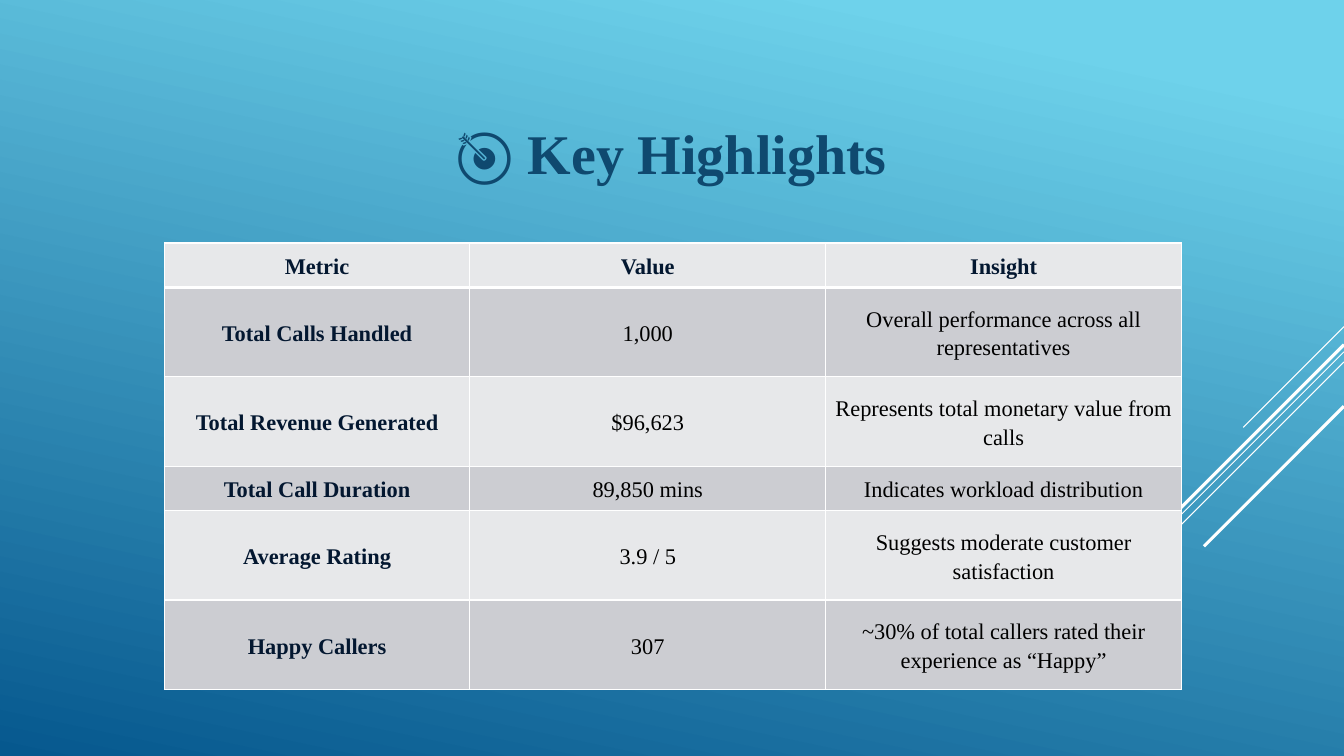
from dataclasses import dataclass

import pptx
import pptx.dml.color
import pptx.enum.shapes
import pptx.enum.text
import pptx.oxml
import pptx.oxml.ns
import pptx.slide
import pptx.table
import pptx.text.text
import pptx.util

Pt = pptx.util.Pt
WIDTH, HEIGHT = 960, 540


@dataclass(frozen=True)
class Theme:
    font: str = "Times New Roman"
    sky: str = "6ED2EB"
    deep: str = "06588E"
    title: str = "0F496F"
    label: str = "031730"
    body: str = "000000"
    line: str = "FFFFFF"
    light: str = "E7E8EA"
    dark: str = "CCCDD2"
    title_size: float = 40
    cell_size: float = 16


@dataclass(frozen=True)
class Ray:
    y: float
    reach: float
    weight: float


@dataclass(frozen=True)
class Metric:
    name: str
    value: str
    insight: str
    height: float = 63.8


THEME = Theme()
RAYS = [
    Ray(233.3, 72, 0.75),
    Ray(251.3, 234.7, 0.75),
    Ray(258.5, 149.2, 0.75),
    Ray(246.2, 137.5, 2.25),
    Ray(290.2, 100, 2.25),
]
METRICS = [
    Metric("Metric", "Value", "Insight", 31.9),
    Metric("Total Calls Handled", "1,000", "Overall performance across all representatives"),
    Metric("Total Revenue Generated", "$96,623", "Represents total monetary value from calls"),
    Metric("Total Call Duration", "89,850 mins", "Indicates workload distribution", 31.9),
    Metric("Average Rating", "3.9 / 5", "Suggests moderate customer satisfaction"),
    Metric("Happy Callers", "307", "~30% of total callers rated their experience as “Happy”"),
]
COLUMNS = [218.2, 254.2, 254.2]


def rgb(color: str) -> pptx.dml.color.RGBColor:
    return pptx.dml.color.RGBColor.from_string(color)


def paint_background(s: pptx.slide.Slide) -> None:
    fill = s.background.fill
    fill.gradient()
    fill.gradient_angle = 258
    stops = [(0.1, THEME.sky), (1, THEME.deep)]
    for stop, (position, color) in zip(fill.gradient_stops, stops):
        stop.position = position
        stop.color.rgb = rgb(color)


def draw_ray(s: pptx.slide.Slide, ray: Ray) -> None:
    sp = s.shapes.add_connector(
        pptx.enum.shapes.MSO_CONNECTOR.STRAIGHT,
        Pt(WIDTH), Pt(ray.y), Pt(WIDTH - ray.reach), Pt(ray.y + ray.reach),
    )
    sp.line.color.rgb = rgb(THEME.line)
    sp.line.width = Pt(ray.weight)
    properties = sp._element.spPr
    properties.append(properties.makeelement(pptx.oxml.ns.qn("a:effectLst"), {}))


def write(p: pptx.text.text._Paragraph, text: str, size: float, color: str, bold: bool) -> None:
    p.alignment = pptx.enum.text.PP_ALIGN.CENTER
    r = p.add_run()
    r.text = text
    r.font.name = THEME.font
    r.font.size = Pt(size)
    r.font.bold = bold
    r.font.color.rgb = rgb(color)


def draw_title(s: pptx.slide.Slide) -> None:
    tf = s.shapes.add_textbox(Pt(269.3), Pt(56.9), Pt(421.2), Pt(103.7)).text_frame
    tf.word_wrap = True
    tf.vertical_anchor = pptx.enum.text.MSO_ANCHOR.MIDDLE
    p = tf.paragraphs[0]
    p.space_before, p.space_after = Pt(8), Pt(6)
    write(p, "🎯 Key Highlights", THEME.title_size, THEME.title, True)


def add_border(cell: pptx.table._Cell, side: str, weight: float) -> None:
    cell._tc.get_or_add_tcPr().append(pptx.oxml.parse_xml(
        f'<a:ln{side} {pptx.oxml.ns.nsdecls("a")} w="{Pt(weight)}"><a:solidFill>'
        f'<a:srgbClr val="{THEME.line}"/></a:solidFill></a:ln{side}>'
    ))


def draw_cell(cell: pptx.table._Cell, text: str, row: int, column: int) -> None:
    for side in "LRTB":
        under_header = (row, side) in [(0, "B"), (1, "T")]
        add_border(cell, side, 3 if under_header else 1)
    cell.fill.solid()
    cell.fill.fore_color.rgb = rgb(THEME.dark if row % 2 else THEME.light)
    cell.margin_left = cell.margin_right = cell.margin_top = cell.margin_bottom = Pt(0.7)
    cell.vertical_anchor = pptx.enum.text.MSO_ANCHOR.MIDDLE
    p = cell.text_frame.paragraphs[0]
    p.line_spacing, p.space_after = 1.15, Pt(8)
    bold = row == 0 or column == 0
    write(p, text, THEME.cell_size, THEME.label if bold else THEME.body, bold)


def draw_table(s: pptx.slide.Slide) -> None:
    height = sum(metric.height for metric in METRICS)
    table = s.shapes.add_table(
        len(METRICS), len(COLUMNS), Pt(117.4), Pt(173.5), Pt(sum(COLUMNS)), Pt(height)
    ).table
    table.first_row = table.horz_banding = False
    for column, width in zip(table.columns, COLUMNS):
        column.width = Pt(width)
    for i, metric in enumerate(METRICS):
        table.rows[i].height = Pt(metric.height)
        for j, text in enumerate((metric.name, metric.value, metric.insight)):
            draw_cell(table.cell(i, j), text, i, j)


def main() -> None:
    """Build the key highlights slide and save it."""
    prs = pptx.Presentation()
    prs.slide_width, prs.slide_height = Pt(WIDTH), Pt(HEIGHT)
    s = prs.slides.add_slide(prs.slide_layouts[6])
    paint_background(s)
    for ray in RAYS:
        draw_ray(s, ray)
    draw_title(s)
    draw_table(s)
    prs.save("out.pptx")


if __name__ == "__main__":
    main()
